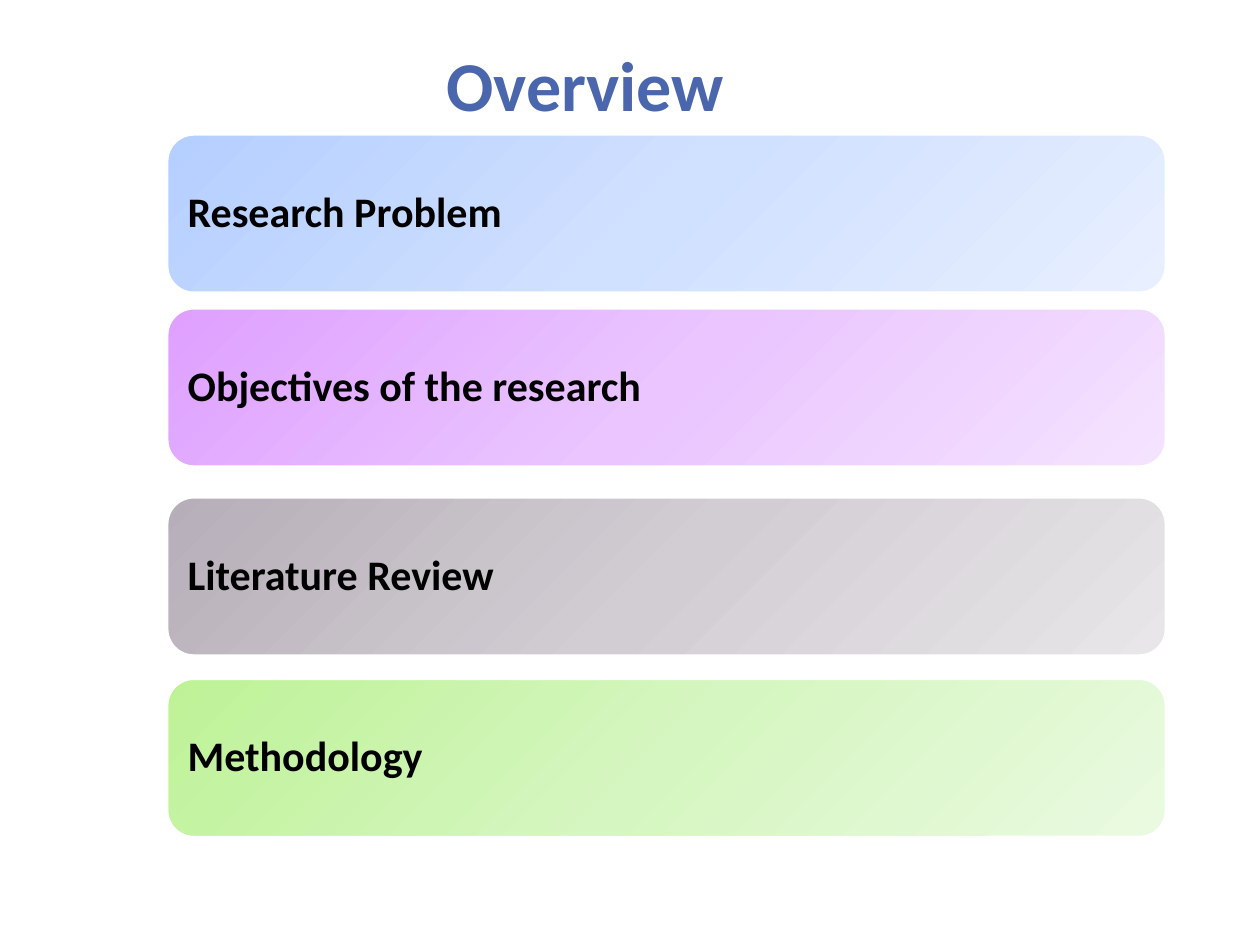
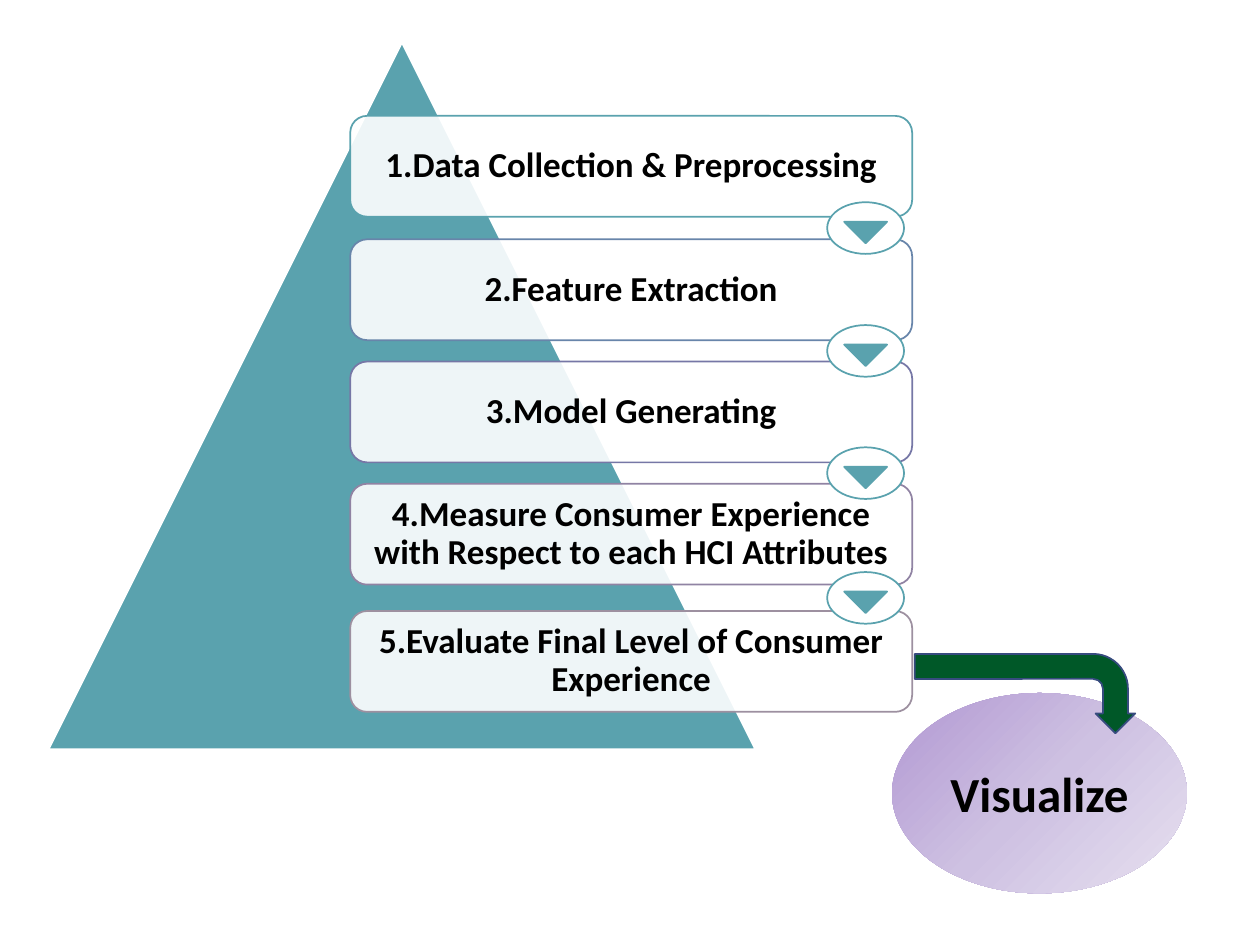
from copy import deepcopy
from dataclasses import dataclass

from lxml.etree import SubElement
from pptx import Presentation
from pptx.dml.color import RGBColor
from pptx.enum.shapes import MSO_SHAPE as Preset
from pptx.enum.text import MSO_ANCHOR as Anchor, PP_ALIGN as Align
from pptx.oxml.ns import qn
from pptx.util import Inches, Pt


@dataclass(frozen=True)
class Theme:
    font: str = "Calibri"
    title: str = "4A66AC"
    ink: str = "000000"
    paper: str = "FFFFFF"
    teal: str = "5AA2AE"
    arrow: str = "005828"
    arrow_edge: str = "374B7F"
    outcome: tuple = ("B197D2", "CEC1E2", "E7E1F0")
    title_size: int = 40
    topic_size: int = 24
    step_size: int = 20
    outcome_size: int = 28
    edge: float = 1
    pyramid_edge: float = 1.5
    step_opacity: int = 90


THEME = Theme()

# Text, top and gradient of each overview topic
TOPICS = [
    ("Research Problem", 1.07, ("B5CFFF", "D0E0FF", "E8EFFF")),
    ("Objectives of the research", 2.45, ("DFA0FF", "EAC5FF", "F4E3FF")),
    ("Literature Review", 3.95, ("B6AEB8", "D2CDD3", "E8E6E9")),
    ("Methodology", 5.39, ("BEF297", "D5F6C0", "EAFAE0")),
]

# Text, top and outline of each step of the method
STEPS = [
    ("1.Data Collection & Preprocessing", 0.92, "5AA2AE"),
    ("2.Feature Extraction", 1.9, "6885AA"),
    ("3.Model Generating", 2.87, "7677A6"),
    ("4.Measure Consumer Experience with Respect to each HCI Attributes", 3.84, "9083A3"),
    ("5.Evaluate Final Level of Consumer Experience", 4.85, "9D90A0"),
]
STEP_LEFT, STEP_WIDTH, STEP_HEIGHT = 2.78, 4.46, 0.8
BADGE_CENTRE = 6.87


def rgb(colour):
    return RGBColor.from_string(colour)


def fill_gradient(shape, colours):
    """Three even stops running from the top left to the bottom right."""
    shape.fill.gradient()
    shape.fill.gradient_angle = 315
    first_stop = shape.fill.gradient_stops[0]
    first_stop.position = 0
    stop_list = shape._element.spPr.find(qn("a:gradFill")).find(qn("a:gsLst"))
    stop_list.insert(1, deepcopy(stop_list[0]))
    for stop, colour, position in zip(shape.fill.gradient_stops, colours, (0, 0.5, 1)):
        stop.color.rgb = rgb(colour)
        stop.position = position


def set_opacity(shape, percent):
    colour = shape._element.spPr.find(qn("a:solidFill"))[0]
    SubElement(colour, qn("a:alpha"), val=str(percent * 1000))


def add_preset(slide, preset, box, fill, edge=None, edge_width=THEME.edge, rotation=0):
    """Fill is one colour or a tuple of gradient colours; no edge means no outline."""
    shape = slide.shapes.add_shape(preset, *map(Inches, box))
    shape.shadow.inherit = False
    shape.rotation = rotation
    if isinstance(fill, tuple):
        fill_gradient(shape, fill)
    else:
        shape.fill.solid()
        shape.fill.fore_color.rgb = rgb(fill)
    if edge:
        shape.line.color.rgb = rgb(edge)
        shape.line.width = Pt(edge_width)
    else:
        shape.line.fill.background()
    return shape


def write(shape, text, size, colour=THEME.ink, align=Align.CENTER,
          anchor=Anchor.MIDDLE, spacing=1.0, inset=None):
    frame = shape.text_frame
    frame.word_wrap = True
    frame.vertical_anchor = anchor
    if inset is not None:
        frame.margin_left = frame.margin_right = Inches(inset)
        frame.margin_top = frame.margin_bottom = Inches(inset)
    paragraph = frame.paragraphs[0]
    paragraph.alignment = align
    paragraph.line_spacing = spacing
    run = paragraph.add_run()
    run.text = text
    run.font.name = THEME.font
    run.font.size = Pt(size)
    run.font.bold = True
    run.font.color.rgb = rgb(colour)


def add_title(slide, text, box):
    title = slide.shapes.add_textbox(*map(Inches, box))
    write(title, text, THEME.title_size, THEME.title, anchor=Anchor.BOTTOM, spacing=0.8)


def add_topic(slide, text, box, gradient):
    card = add_preset(slide, Preset.ROUNDED_RECTANGLE, box, gradient, THEME.paper)
    write(card, text, THEME.topic_size, align=Align.LEFT, spacing=0.9, inset=0.1)


def add_step(slide, text, box, edge):
    card = add_preset(slide, Preset.ROUNDED_RECTANGLE, box, THEME.paper, edge)
    set_opacity(card, THEME.step_opacity)
    write(card, text, THEME.step_size, spacing=0.9, inset=0.08)


def add_badge(slide, centre_x, centre_y):
    """Oval with a downward triangle, linking two steps."""
    width, height = 0.61, 0.41
    add_preset(slide, Preset.OVAL,
               (centre_x - width / 2, centre_y - height / 2, width, height),
               THEME.paper, THEME.teal)
    add_preset(slide, Preset.ISOSCELES_TRIANGLE,
               (centre_x - 0.17, centre_y - 0.05, 0.34, 0.17),
               THEME.teal, THEME.teal, rotation=180)


def add_outcome(slide, text, box):
    """Oval for the result, with the bent arrow that leads into it from the left."""
    left, top, _, _ = box
    oval = add_preset(slide, Preset.OVAL, box, THEME.outcome)
    write(oval, text, THEME.outcome_size)
    arrow = add_preset(slide, Preset.BENT_ARROW, (left + 0.74, top - 0.87, 0.63, 1.75),
                       THEME.arrow, THEME.arrow_edge, rotation=90)
    for index, value in enumerate((0.315, 0.25, 0.25, 0.438)):
        arrow.adjustments[index] = value


def build_overview(slide):
    add_title(slide, "Overview", (1.08, 0.5, 7.13, 0.54))
    for text, top, gradient in TOPICS:
        add_topic(slide, text, (1.33, top, 7.92, 1.25), gradient)


def build_method(slide):
    add_preset(slide, Preset.ISOSCELES_TRIANGLE, (0.38, 0.33, 5.62, 5.62),
               THEME.teal, THEME.paper, THEME.pyramid_edge)
    for text, top, edge in STEPS:
        add_step(slide, text, (STEP_LEFT, top, STEP_WIDTH, STEP_HEIGHT), edge)
    for (_, upper, _), (_, lower, _) in zip(STEPS, STEPS[1:]):
        add_badge(slide, BADGE_CENTRE, (upper + STEP_HEIGHT + lower) / 2)
    add_outcome(slide, "Visualize", (7.08, 5.5, 2.34, 1.59))


def main():
    deck = Presentation()
    deck.slide_width, deck.slide_height = Inches(10), Inches(7.5)
    blank = deck.slide_layouts[6]
    for build in (build_overview, build_method):
        build(deck.slides.add_slide(blank))
    deck.save("out.pptx")


if __name__ == "__main__":
    main()
